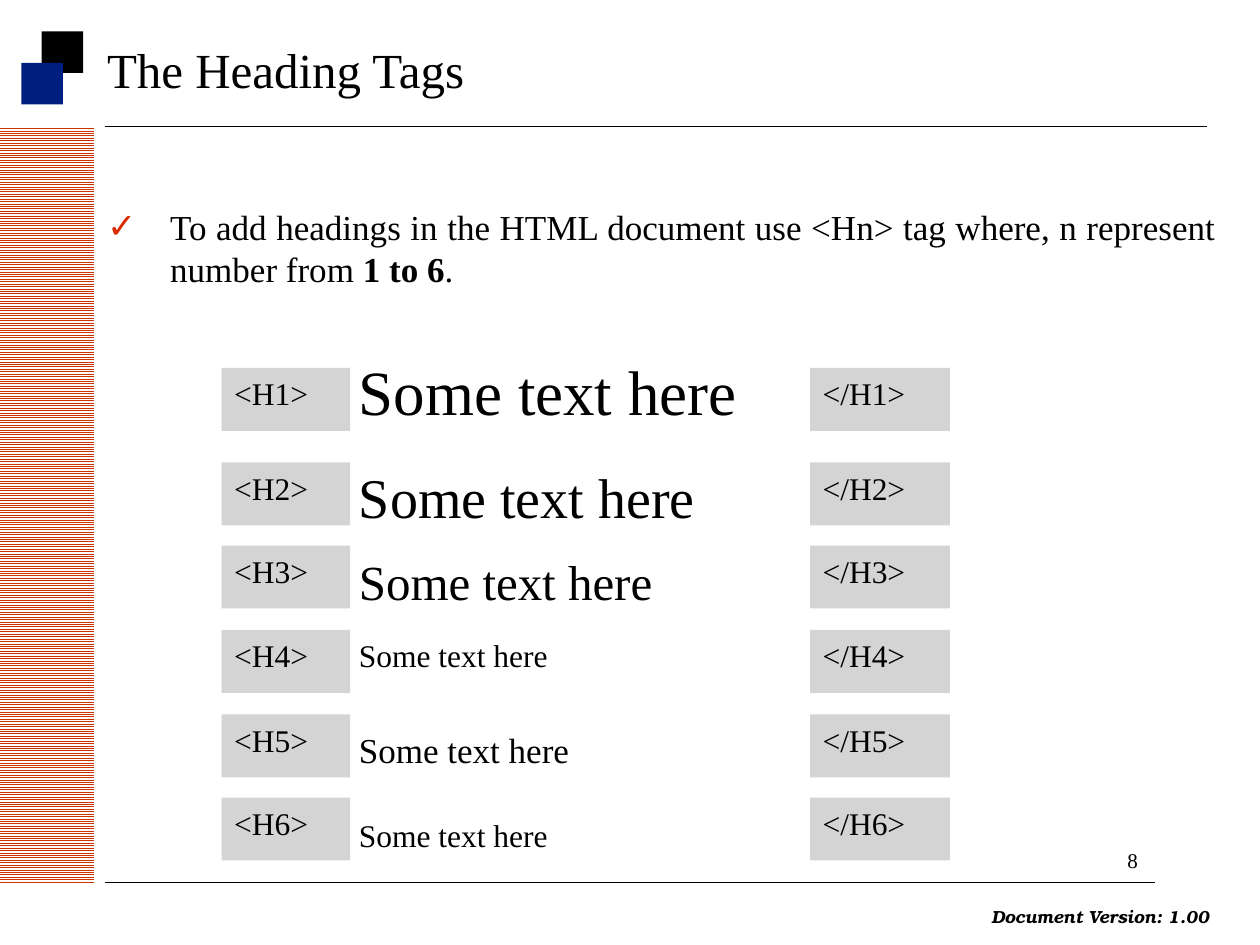
from lxml import etree
from pptx import Presentation
from pptx.dml.color import RGBColor
from pptx.enum.dml import MSO_PATTERN_TYPE as Pattern
from pptx.enum.shapes import MSO_CONNECTOR_TYPE as Connector, MSO_SHAPE as Shape
from pptx.enum.text import MSO_ANCHOR as Anchor, MSO_AUTO_SIZE as AutoSize, PP_ALIGN as Align
from pptx.oxml.ns import qn
from pptx.util import Inches, Pt


def paint(target, color):
    """Give a fill, line fill or font a solid colour from a hex string."""
    if hasattr(target, "solid"):
        target.solid()
        target = target.fore_color
    else:
        target = target.color
    target.rgb = RGBColor.from_string(color)


def write(box, texts, size, wrap=False, anchor=Anchor.TOP, align=Align.LEFT,
          font="Times New Roman", **styles):
    """Fill the first paragraph of a box with equally formatted spans."""
    frame = box.text_frame
    frame_format = {"auto_size": AutoSize.NONE, "word_wrap": wrap, "vertical_anchor": anchor}
    for name, value in frame_format.items():
        setattr(frame, name, value)
    para = frame.paragraphs[0]
    para.alignment = align
    for text in texts:
        span = para.add_run()
        span.text = text
        for name, value in {"name": font, "size": Pt(size), **styles}.items():
            setattr(span.font, name, value)
        paint(span.font, "000000")
    return para


deck = Presentation()
deck.slide_width, deck.slide_height = Inches(10), Inches(7.5)
page = deck.slides.add_slide(deck.slide_layouts[1])
shapes = page.shapes

# Striped side band, turned to stand upright
band = shapes.add_shape(Shape.RECTANGLE, Inches(-2.625), Inches(3.625), Inches(6), Inches(0.75))
band.rotation = 270
band.shadow.inherit = False
band.line.fill.background()
band.fill.patterned()
band.fill.pattern = Pattern.LIGHT_HORIZONTAL
band.fill.fore_color.rgb = RGBColor.from_string("CC3300")
band.fill.back_color.rgb = RGBColor.from_string("FFFFFF")

# Rules under the title and above the footer
for right, top in [(9.58, 1), (9.17, 7)]:
    rule = shapes.add_connector(Connector.STRAIGHT, Inches(0.83), Inches(top),
                                Inches(right), Inches(top))
    rule.line.width = Pt(0.25)
    paint(rule.line.fill, "000000")
    etree.SubElement(rule.element.spPr, qn("a:effectLst"))

# Two overlapping corner squares, then the opening and closing tag blocks
ROW_TOPS = [2.92, 3.67, 4.33, 5, 5.67, 6.33]
blocks = [(0.33, 0.25, 0.33, 0.33, "000000", ""), (0.17, 0.5, 0.33, 0.33, "001E7E", "")]
for level, top in enumerate(ROW_TOPS, start=1):
    blocks += [(1.76, top, 1.02, 0.5, "D4D4D4", f"<H{level}>"),
               (6.43, top, 1.11, 0.5, "D4D4D4", f"</H{level}>")]
for *place, color, label in blocks:
    block = shapes.add_shape(Shape.RECTANGLE, *map(Inches, place))
    block.shadow.inherit = False
    block.line.fill.background()
    paint(block.fill, color)
    if label:
        write(block, [label], 18)

# Sample text of each heading level
samples = [(2.75, 3.59, 0.7, 36), (3.62, 3.21, 0.63, 32), (4.33, 2.84, 0.57, 28),
           (5, 2.46, 0.5, 18), (5.73, 2.08, 0.43, 20), (6.43, 1.9, 0.4, 18)]
for top, width, height, size in samples:
    sample = shapes.add_textbox(Inches(2.75), Inches(top), Inches(width), Inches(height))
    write(sample, ["Some text here"], size)

# Title and body
title, body = shapes.title, page.placeholders[1]
for holder, top, height in [(title, 0.17, 0.75), (body, 1.58, 4.95)]:
    holder.left, holder.top, holder.width, holder.height = map(Inches, (0.75, top, 9, height))
write(title, ["The Heading Tags"], 28, wrap=True, anchor=Anchor.MIDDLE)
para = write(body, ["To add headings in the HTML document use <Hn> tag where, n represent number from ",
                    "1 to 6", "."], 20, wrap=True, align=Align.JUSTIFY)
para.runs[1].font.bold = True
para.space_before, para.space_after = Pt(0), Pt(6)

# Red check mark as the bullet, with a hanging indent
props = para._p.get_or_add_pPr()
props.set("marL", str(Inches(0.5)))
props.set("indent", str(Inches(-0.5)))
bullet_color = etree.SubElement(props, qn("a:buClr"))
etree.SubElement(bullet_color, qn("a:srgbClr"), val="DA2A00")
etree.SubElement(props, qn("a:buChar"), char="✓")

# Footer: page number and document version
number = shapes.add_textbox(Inches(8.85), Inches(6.68), Inches(0.4), Inches(0.3))
write(number, ["8"], 12)
version = shapes.add_textbox(Inches(7.77), Inches(7.14), Inches(1.94), Inches(0.27))
write(version, ["Document Version: 1.00"], 10, font="TeX Gyre Bonum", bold=True, italic=True)

deck.save("out.pptx")
